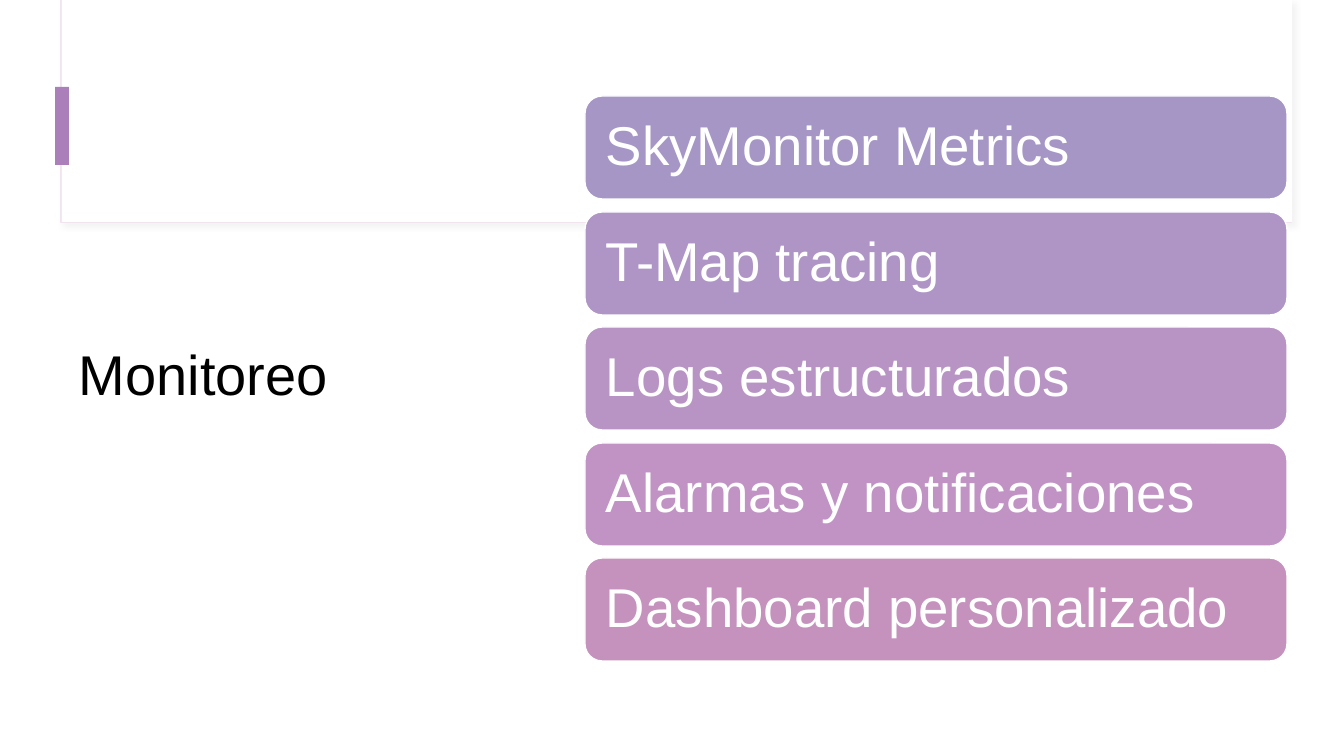
"""Build the monitoring slide: a title beside a stack of five topic cards."""
from dataclasses import dataclass

from lxml import etree
from pptx import Presentation
from pptx.dml.color import RGBColor
from pptx.enum.shapes import MSO_SHAPE
from pptx.enum.text import MSO_ANCHOR, PP_ALIGN
from pptx.oxml.ns import qn
from pptx.util import Emu, Pt

RECT = MSO_SHAPE.RECTANGLE
ROUND = MSO_SHAPE.ROUNDED_RECTANGLE
MIDDLE = MSO_ANCHOR.MIDDLE
LEFT = PP_ALIGN.LEFT

EMU_PER_PX = 914400 / 100.8
CARD_LEFT, CARD_TOP, CARD_W, CARD_H = 585, 96, 702, 103
CARD_PITCH = 115.6

COLORS = {
    "white": "FFFFFF",
    "black": "000000",
    "frame": "F0E5EF",
    "shadow": "D9D9D9",
    "accent": "AA7FBA",
    "card1": "A596C6",
    "card2": "AE95C5",
    "card3": "B894C5",
    "card4": "C193C5",
    "card5": "C492BD",
}

TOPICS = [
    "SkyMonitor Metrics",
    "T-Map tracing",
    "Logs estructurados",
    "Alarmas y notificaciones",
    "Dashboard personalizado",
]


@dataclass(frozen=True)
class Box:
    """A filled shape measured in px, with an optional line and label."""
    left: int
    top: int
    width: int
    height: int
    fill: str
    shape: int = RECT
    line: str = ""
    line_pt: float = 0.75
    label: str = ""
    shadow: bool = False


def px(n: int) -> Emu:
    """Convert px to EMU."""
    return Emu(round(n * EMU_PER_PX))


def rgb(name: str) -> RGBColor:
    """Look up a named colour."""
    return RGBColor.from_string(COLORS[name])


def write(sp, text: str, size: int, color: str, inset: int) -> None:
    """Put one left-aligned, vertically centred line of text in a shape."""
    tf = sp.text_frame
    frame = {"word_wrap": True, "vertical_anchor": MIDDLE}
    frame.update({f"margin_{side}": px(inset)
                  for side in ("left", "top", "right", "bottom")})
    p = tf.paragraphs[0]
    r = p.add_run()
    r.text = text
    formats = (
        (tf, frame),
        (p, {"alignment": LEFT, "line_spacing": 0.9}),
        (r.font, {"name": "Arial", "size": Pt(size)}),
    )
    for target, values in formats:
        for key, value in values.items():
            setattr(target, key, value)
    r.font.color.rgb = rgb(color)


def add_shadow(sp) -> None:
    """Give a shape a soft shadow falling to the lower right."""
    effects = sp._element.spPr.find(qn("a:effectLst"))
    outer = etree.SubElement(effects, qn("a:outerShdw"), {
        "blurRad": str(Pt(4)), "dist": str(Pt(3)), "dir": str(45 * 60000)})
    color = etree.SubElement(outer, qn("a:srgbClr"), val=COLORS["shadow"])
    etree.SubElement(color, qn("a:alpha"), val="30000")


def add_box(s, box: Box) -> None:
    """Draw a box on the slide."""
    sp = s.shapes.add_shape(box.shape, px(box.left), px(box.top),
                            px(box.width), px(box.height))
    sp.shadow.inherit = False
    sp.fill.solid()
    sp.fill.fore_color.rgb = rgb(box.fill)
    if box.line:
        sp.line.color.rgb = rgb(box.line)
        sp.line.width = Pt(box.line_pt)
    else:
        sp.line.fill.background()
    if box.shadow:
        add_shadow(sp)
    if box.label:
        write(sp, box.label, 39, "white", 16)


def add_title(s, text: str) -> None:
    """Draw the slide title."""
    sp = s.shapes.add_textbox(px(69), px(128), px(397), px(499))
    write(sp, text, 40, "black", 10)


def main() -> None:
    """Build and save the slide."""
    prs = Presentation()
    prs.slide_width, prs.slide_height = px(1344), px(756)
    s = prs.slides.add_slide(prs.slide_layouts[6])

    header = [
        Box(61, 0, 1231, 223, "white", line="frame", shadow=True),
        Box(62, 0, 1230, 222, "white"),
        Box(55, 87, 14, 78, "accent"),
    ]
    cards = [
        Box(CARD_LEFT, round(CARD_TOP + i * CARD_PITCH), CARD_W, CARD_H,
            f"card{i + 1}", ROUND, "white", 1, topic)
        for i, topic in enumerate(TOPICS)
    ]
    for box in header:
        add_box(s, box)
    add_title(s, "Monitoreo")
    for box in cards:
        add_box(s, box)
    prs.save("out.pptx")


if __name__ == "__main__":
    main()
